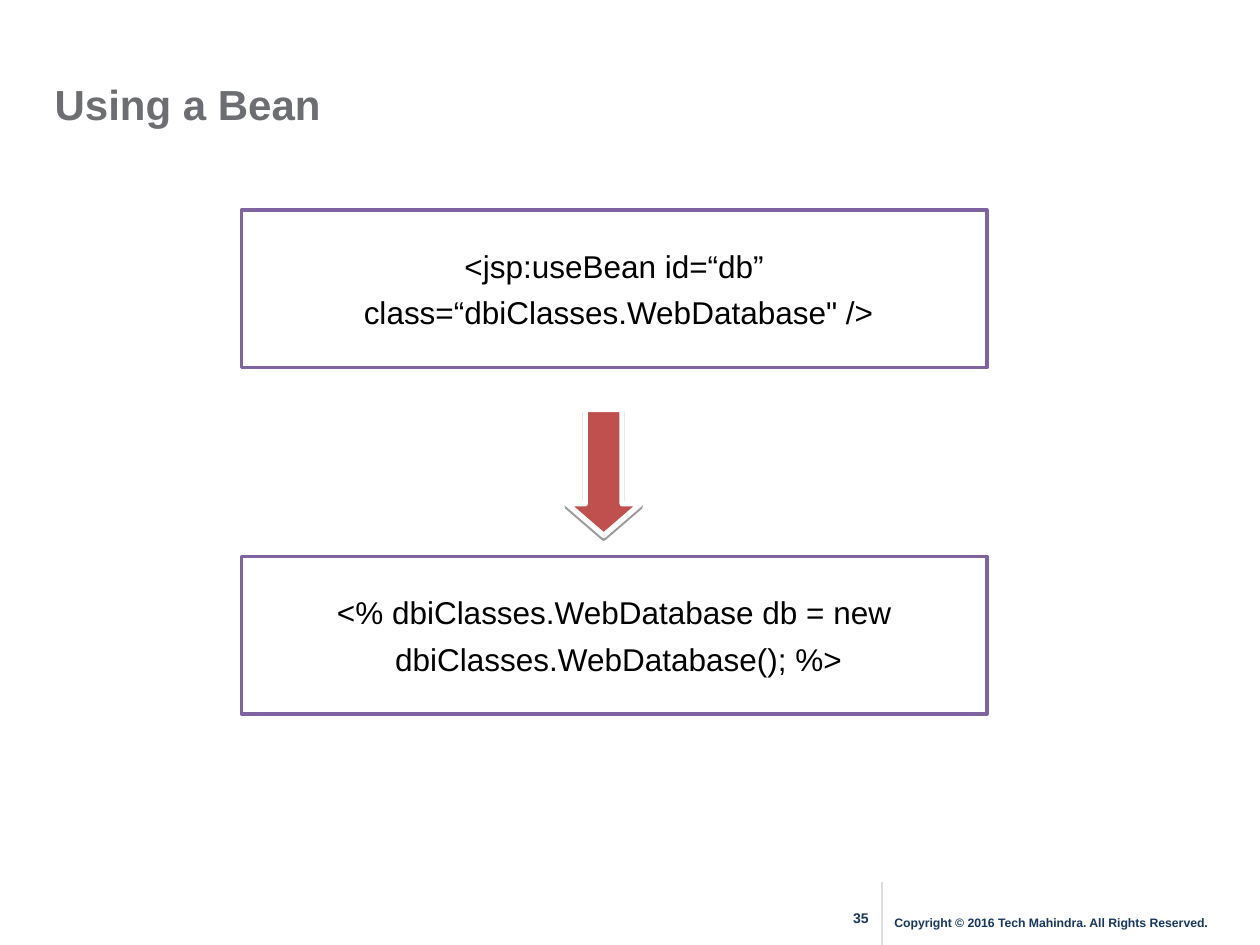
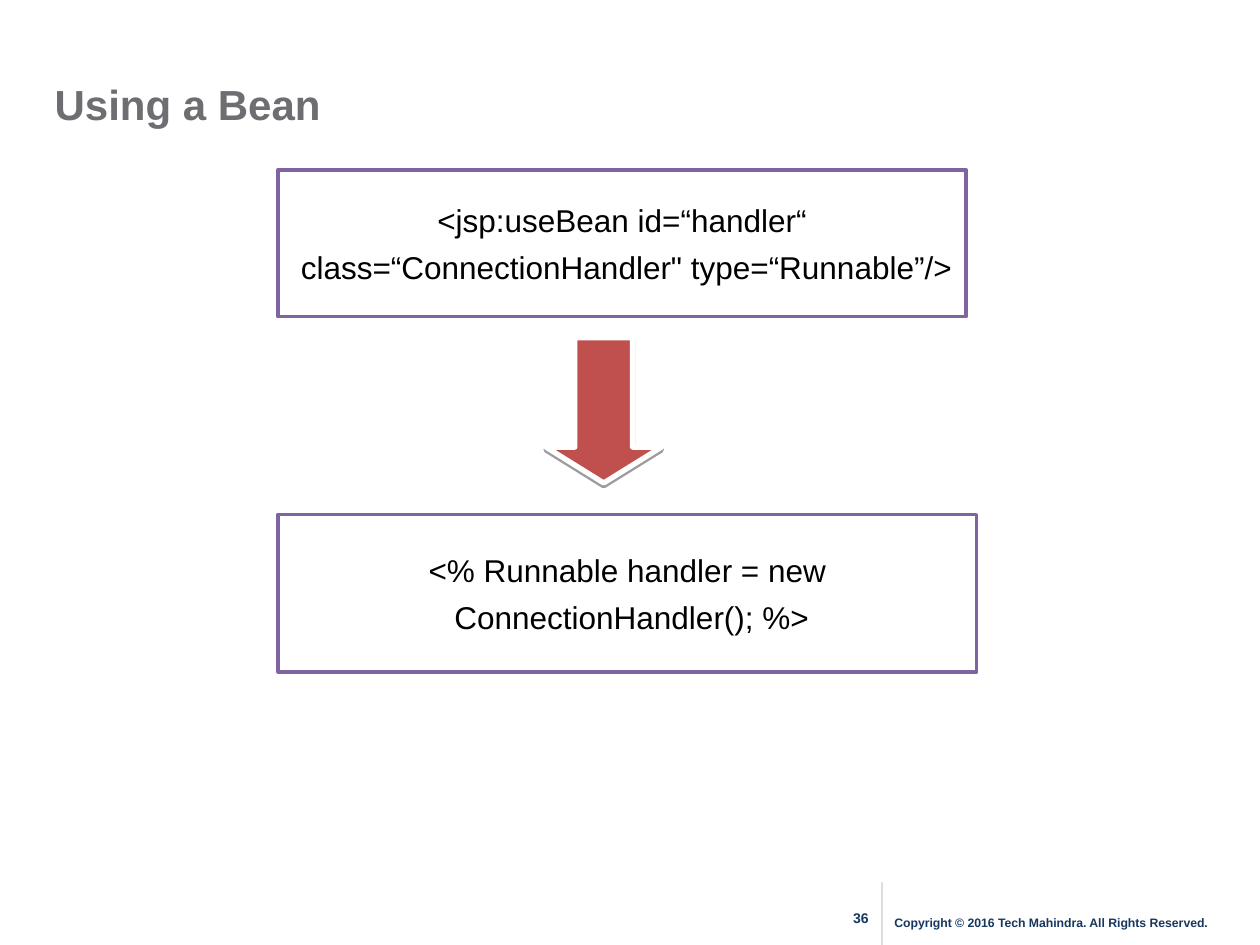
from lxml.etree import SubElement
from pptx import Presentation
from pptx.dml.color import RGBColor
from pptx.enum.shapes import MSO_CONNECTOR, MSO_SHAPE
from pptx.enum.text import MSO_ANCHOR, PP_ALIGN
from pptx.oxml.ns import qn
from pptx.util import Pt

FONT = "Arial"
GREY, NAVY, PURPLE, RED = "6D6E71", "17375E", "8064A2", "C0504D"
BLACK, WHITE, LIGHT_GREY = "000000", "FFFFFF", "DDDDDD"
COPYRIGHT = "Copyright © 2016 Tech Mahindra. All Rights Reserved."
TITLE_ONLY = 5


def color(hex_string):
    return RGBColor.from_string(hex_string)


def points(*lengths):
    return [Pt(length) for length in lengths]


class Deck:
    def __init__(self):
        self.presentation = Presentation()
        self.presentation.slide_width = Pt(720)
        self.presentation.slide_height = Pt(540)
        self.slide = None

    def add_slide(self, title, number):
        layout = self.presentation.slide_layouts[TITLE_ONLY]
        self.slide = self.presentation.slides.add_slide(layout)
        self.title(title)
        self.footer(number)

    def set_text(self, shape, lines, size, ink, bold=False, align=PP_ALIGN.LEFT,
                 anchor=MSO_ANCHOR.MIDDLE, wrap=True, gap=0):
        frame = shape.text_frame
        frame.word_wrap = wrap
        frame.vertical_anchor = anchor
        frame.text = "\n".join(lines)
        for index, paragraph in enumerate(frame.paragraphs):
            paragraph.alignment = align
            paragraph.space_before = Pt(gap if index else 0)
            paragraph.font.name = FONT
            paragraph.font.size = Pt(size)
            paragraph.font.bold = bold
            paragraph.font.color.rgb = color(ink)

    def title(self, text):
        title = self.slide.shapes.title
        title.left, title.top, title.width, title.height = points(24, 43.2, 528, 32.4)
        self.set_text(title, [text], 24, GREY, bold=True)

    def footer(self, number):
        shapes = self.slide.shapes
        number_box = shapes.add_textbox(*points(474, 516, 36, 21.6))
        self.set_text(number_box, [str(number)], 8, NAVY, bold=True,
                      align=PP_ALIGN.CENTER, anchor=MSO_ANCHOR.TOP)
        divider = shapes.add_connector(MSO_CONNECTOR.STRAIGHT, *points(504, 504, 504, 540))
        divider.line.color.rgb = color(LIGHT_GREY)
        divider.line.width = Pt(1.5)
        SubElement(divider._element.spPr, qn("a:effectLst"))
        copyright_box = shapes.add_textbox(*points(504, 518.4, 210, 18))
        self.set_text(copyright_box, [COPYRIGHT], 7, NAVY, bold=True)

    def shape(self, kind, place, fill, line, line_width):
        shape = self.slide.shapes.add_shape(kind, *points(*place))
        shape.shadow.inherit = False
        shape.fill.solid()
        shape.fill.fore_color.rgb = color(fill)
        shape.line.color.rgb = color(line)
        shape.line.width = Pt(line_width)
        return shape

    def code_box(self, place, lines):
        box = self.shape(MSO_SHAPE.RECTANGLE, place, WHITE, PURPLE, 2)
        self.set_text(box, lines, 18, BLACK, align=PP_ALIGN.CENTER, wrap=False, gap=5)

    def down_arrow(self, place, head):
        """Draw a red arrow; head is the head length as a share of the width."""
        arrow = self.shape(MSO_SHAPE.DOWN_ARROW, place, RED, WHITE, 3)
        arrow.adjustments[0] = 0.5
        arrow.adjustments[1] = head
        effects = arrow._element.spPr.find(qn("a:effectLst"))
        shadow = SubElement(effects, qn("a:outerShdw"), blurRad="0", dist=str(Pt(1.6)),
                            dir="5400000", rotWithShape="0")
        shadow_color = SubElement(shadow, qn("a:srgbClr"), val=BLACK)
        SubElement(shadow_color, qn("a:alpha"), val="38000")


def main():
    deck = Deck()

    deck.add_slide("Using a Bean", 35)
    deck.code_box((138, 120, 426, 90),
                  ["<jsp:useBean id=“db”", " class=“dbiClasses.WebDatabase\" />"])
    deck.code_box((138, 318, 426, 90),
                  ["<% dbiClasses.WebDatabase db = new", " dbiClasses.WebDatabase(); %>"])
    deck.down_arrow((324, 234, 42, 72), 0.43)

    deck.add_slide("Using a Bean", 36)
    deck.code_box((159, 97, 393, 84),
                  ["<jsp:useBean id=“handler“", " class=“ConnectionHandler\" type=“Runnable”/>"])
    deck.code_box((159, 294, 399, 90),
                  ["<% Runnable handler = new", " ConnectionHandler(); %>"])
    deck.down_arrow((312, 193, 66, 83), 0.31)

    deck.presentation.save("out.pptx")


if __name__ == "__main__":
    main()
